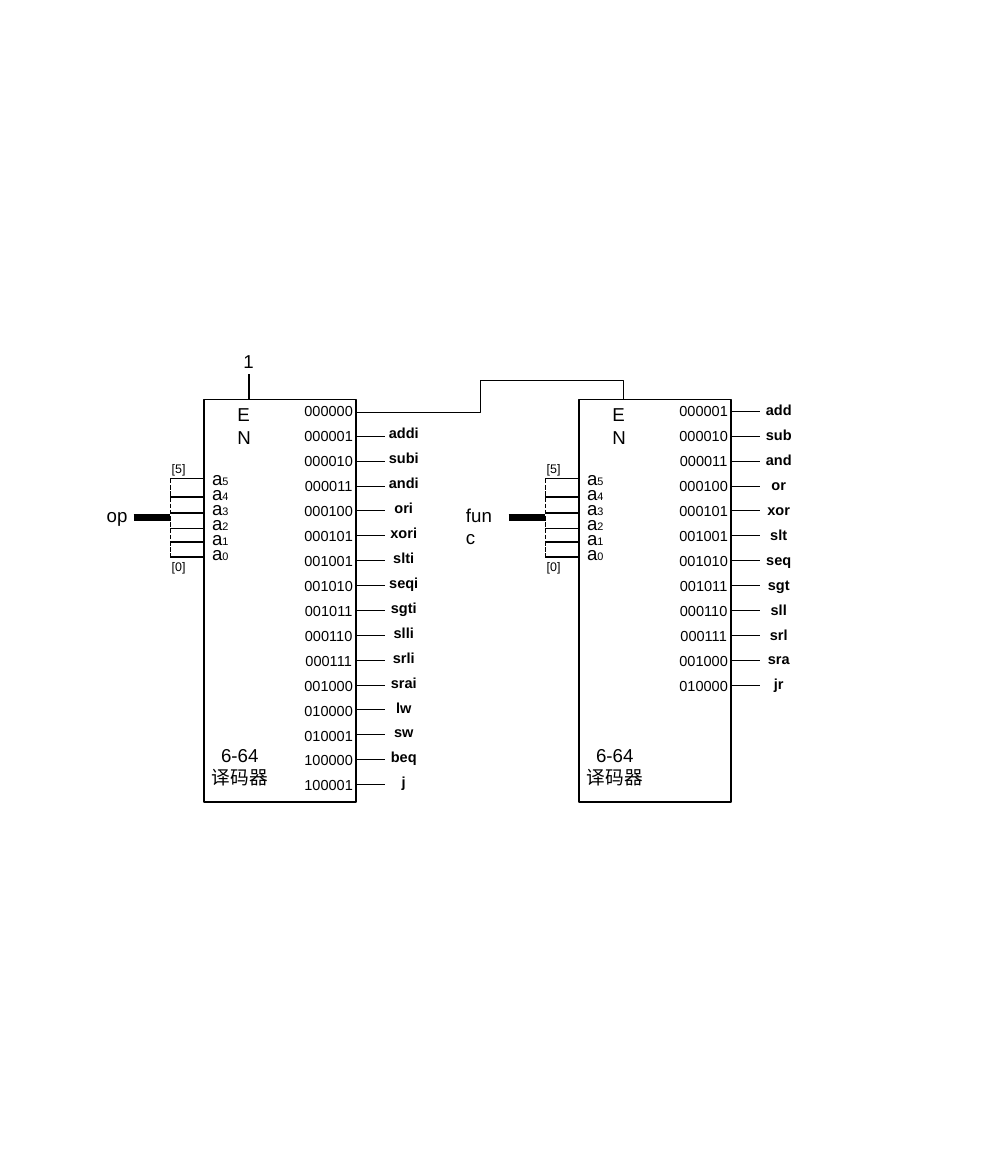
from dataclasses import dataclass

from lxml import etree
from pptx import Presentation
from pptx.dml.color import RGBColor
from pptx.enum import dml, shapes, text
from pptx.oxml import ns
from pptx.util import Inches, Pt


@dataclass(frozen=True)
class Theme:
    ink: RGBColor = RGBColor(0, 0, 0)
    font: str = "Arial"
    label: float = 18
    cell: float = 14
    bit: float = 12
    subscript: float = 10.5
    thin: float = 1
    line: float = 1.5
    bus: float = 6


THEME = Theme()
NO_GRID_STYLE = "{2D5ABB26-0587-4C30-8999-92F81FD0307C}"
ROW = 1 / 3
BOX_WIDTH, BOX_HEIGHT = 2.04, 5.39
PIN_OFFSETS = [1.06, 1.31, 1.52, 1.73, 1.91, 2.11]

OP_CODES = ["000000", "000001", "000010", "000011", "000100", "000101", "001001", "001010",
            "001011", "000110", "000111", "001000", "010000", "010001", "100000", "100001"]
OP_NAMES = ["addi", "subi", "andi", "ori", "xori", "slti", "seqi", "sgti",
            "slli", "srli", "srai", "lw", "sw", "beq", "j"]
FUNC_CODES = OP_CODES[1:13]
FUNC_NAMES = ["add", "sub", "and", "or", "xor", "slt", "seq", "sgt", "sll", "srl", "sra", "jr"]


def style_run(span, size, bold=False):
    span.font.name = THEME.font
    span.font.size = Pt(size)
    span.font.bold = bold
    span.font.color.rgb = THEME.ink


def add_label(page, left, top, width, height, words, size=THEME.label, wrap=False, align=None):
    box = page.shapes.add_textbox(Inches(left), Inches(top), Inches(width), Inches(height))
    frame = box.text_frame
    frame.text = words
    frame.word_wrap = wrap
    for para in frame.paragraphs:
        para.alignment = align
        for span in para.runs:
            style_run(span, size)
    return box


def add_line(page, start, end, width=THEME.line, kind=shapes.MSO_CONNECTOR.STRAIGHT):
    line = page.shapes.add_connector(kind, *[Inches(n) for n in (*start, *end)])
    line.line.color.rgb = THEME.ink
    line.line.width = Pt(width)
    etree.SubElement(line._element.spPr, ns.qn("a:effectLst"))
    return line


def add_column(page, left, top, width, words):
    """Add a one-column table without fill or grid and return its cells."""
    frame = page.shapes.add_table(len(words), 1, Inches(left), Inches(top),
                                  Inches(width), Inches(ROW * len(words)))
    table = frame.table
    table.first_row = table.horz_banding = False
    table._tbl.tblPr.find(ns.qn("a:tableStyleId")).text = NO_GRID_STYLE
    cells = list(table.iter_cells())
    for row, cell, word in zip(table.rows, cells, words):
        row.height = Inches(ROW)
        cell.fill.background()
        cell.text = word
    return cells


def add_words(page, left, top, width, words, bold=False, anchor=text.MSO_ANCHOR.TOP):
    for cell in add_column(page, left, top, width, words):
        cell.vertical_anchor = anchor
        para = cell.text_frame.paragraphs[0]
        para.alignment = text.PP_ALIGN.CENTER
        style_run(para.runs[0], THEME.cell, bold)


def add_border(cell, side):
    props = cell._tc.get_or_add_tcPr()
    border = etree.Element(ns.qn("a:" + side), w=str(Pt(THEME.thin)))
    fill = etree.SubElement(border, ns.qn("a:solidFill"))
    etree.SubElement(fill, ns.qn("a:srgbClr"), val=str(THEME.ink))
    fill_position = next(i for i, child in enumerate(props) if child.tag == ns.qn("a:noFill"))
    props.insert(fill_position, border)


def add_stubs(page, left, top, count, open_ends):
    """Draw the output wires as the row borders of an empty table."""
    cells = add_column(page, left, top, 0.38, [""] * count)
    for index, cell in enumerate(cells):
        cell.margin_top = cell.margin_bottom = 0
        if index or not open_ends:
            add_border(cell, "lnT")
        if index < count - 1 or not open_ends:
            add_border(cell, "lnB")


def add_inputs(page, left, top, bus_name, name_left, name_width):
    """Draw the input bus, its six branches and the pin names."""
    rail, bus_y = left - 0.45, top + 1.58
    add_label(page, name_left, top + 1.35, name_width, 0.4, bus_name, wrap=True)
    add_line(page, (rail - 0.49, bus_y), (rail, bus_y), THEME.bus)
    for index, offset in enumerate(PIN_OFFSETS):
        pin = add_label(page, left + 0.01, top + 0.86 + 0.2 * index, 0.59, 0.4, "a", wrap=True)
        span = pin.text_frame.paragraphs[0].add_run()
        span.text = str(5 - index)
        style_run(span, THEME.subscript)
        add_line(page, (rail, top + offset), (left + 0.02, top + offset))
    rail_line = add_line(page, (rail, top + PIN_OFFSETS[0]), (rail, top + PIN_OFFSETS[-1]))
    rail_line.line.dash_style = dml.MSO_LINE.SQUARE_DOT
    for words, offset in (("[5]", 0.77), ("[0]", 2.09)):
        add_label(page, left - 0.53, top + offset, 0.39, 0.3, words, THEME.bit)


def add_outputs(page, left, top, codes, names):
    skipped = len(codes) - len(names)
    add_words(page, left + 1.19, top, 0.96, codes, anchor=text.MSO_ANCHOR.MIDDLE)
    add_words(page, left + 2.21, top - 0.01 + 0.31 * skipped, 0.93, names, bold=True)
    count = len(codes) if skipped else len(codes) - 1
    add_stubs(page, left + 2.04, top + 0.16, count, open_ends=bool(skipped))


def add_decoder(page, left, top, bus_name, name_left, name_width, codes, names):
    body = page.shapes.add_shape(shapes.MSO_SHAPE.RECTANGLE, Inches(left), Inches(top),
                                 Inches(BOX_WIDTH), Inches(BOX_HEIGHT))
    body.shadow.inherit = False
    body.fill.background()
    body.line.color.rgb = THEME.ink
    body.line.width = Pt(THEME.line)
    add_inputs(page, left, top, bus_name, name_left, name_width)
    add_label(page, left + 0.35, top, 0.51, 0.4, "EN", wrap=True)
    add_outputs(page, left, top, codes, names)
    add_label(page, left, top + 4.56, 0.96, 0.71, "6-64\n译码器", align=text.PP_ALIGN.CENTER)


def add_enable_wire(page, start, end):
    """Route a wire up from start, across, and back down to end on its left."""
    drop, span = end[1] - start[1], start[0] - end[0]
    middle_x, middle_y = (start[0] + end[0]) / 2, (start[1] + end[1]) / 2
    near = (middle_x - drop / 2, middle_y - span / 2)
    far = (middle_x + drop / 2, middle_y + span / 2)
    wire = add_line(page, far, near, THEME.thin, shapes.MSO_CONNECTOR.ELBOW)
    properties = wire._element.spPr
    properties.find(ns.qn("a:xfrm")).set("rot", str(270 * 60000))
    geometry = properties.find(ns.qn("a:prstGeom"))
    geometry.set("prst", "bentConnector4")
    guides = geometry.find(ns.qn("a:avLst"))
    if guides is None:
        guides = etree.SubElement(geometry, ns.qn("a:avLst"))
    for name, value in (("adj1", -139300), ("adj2", 53600)):
        etree.SubElement(guides, ns.qn("a:gd"), name=name, fmla=f"val {value}")


def main():
    deck = Presentation()
    deck.slide_width, deck.slide_height = Inches(40 / 3), Inches(15.75)
    page = deck.slides.add_slide(deck.slide_layouts[6])
    top = 5.35
    add_decoder(page, 2.73, top, "op", 1.33, 0.49, OP_CODES, OP_NAMES)
    add_line(page, (3.33, top), (3.33, 5.01))
    add_label(page, 3.16, 4.64, 0.25, 0.4, "1", wrap=True)
    add_decoder(page, 7.75, top, "func", 6.14, 0.64, FUNC_CODES, FUNC_NAMES)
    add_enable_wire(page, (8.35, top), (4.77, 5.53))
    deck.save("out.pptx")


if __name__ == "__main__":
    main()
